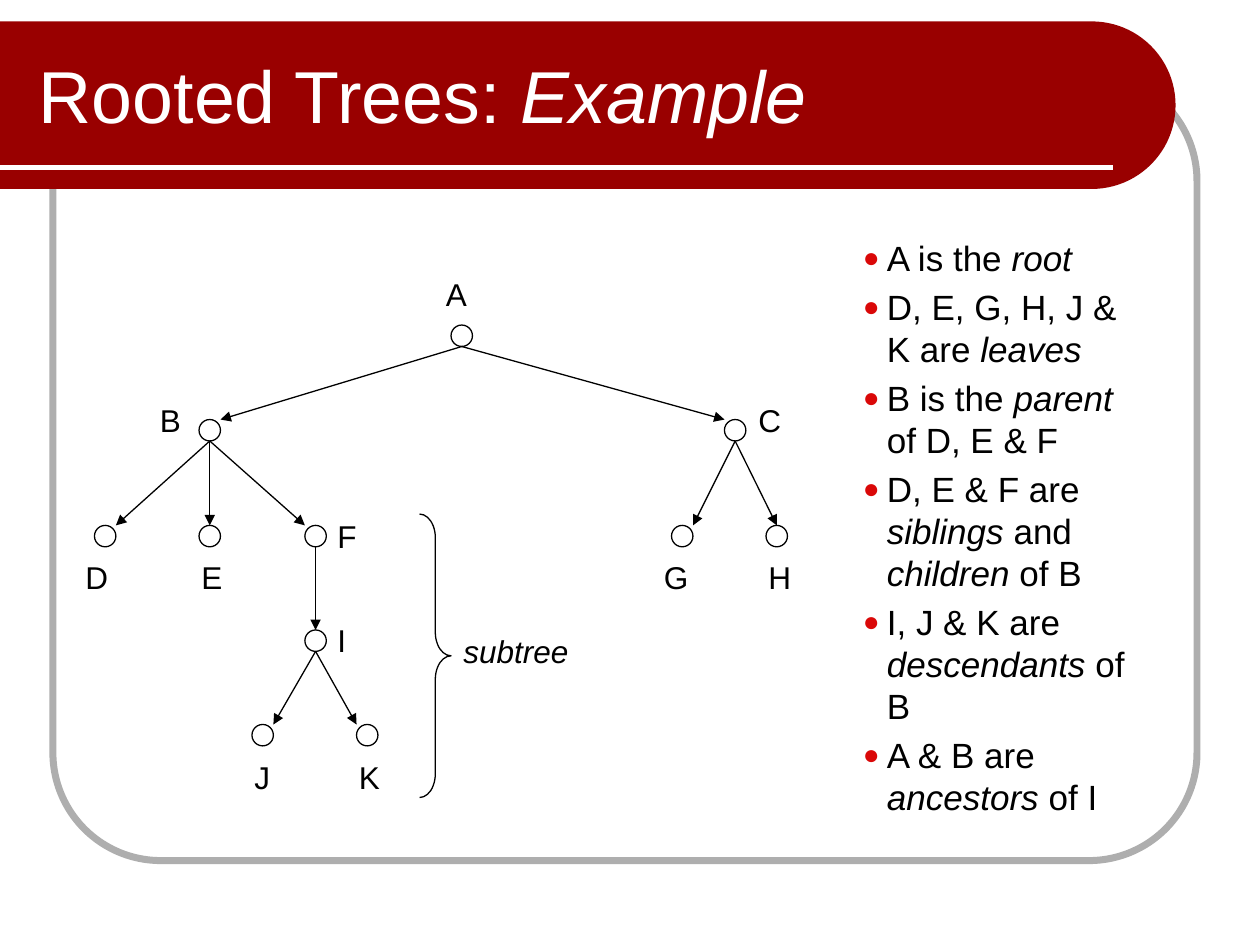
from dataclasses import dataclass
from typing import NamedTuple

from lxml.etree import SubElement
from pptx import Presentation
from pptx.dml.color import RGBColor
from pptx.enum.shapes import MSO_CONNECTOR, MSO_SHAPE
from pptx.enum.text import MSO_ANCHOR
from pptx.oxml.ns import qn
from pptx.util import Inches, Pt


@dataclass(frozen=True)
class Theme:
    font: str = "Arial"
    red: str = "990000"
    bullet: str = "DA0808"
    gray: str = "AEAEAE"
    white: str = "FFFFFF"
    black: str = "000000"
    title: float = 42
    body: float = 20
    label: float = 18
    thin: float = 0.75


class Run(NamedTuple):
    text: str
    italic: bool = False


class Node(NamedTuple):
    x: float
    y: float
    label_x: float
    label_y: float
    label_w: float


class Edge(NamedTuple):
    parent: str
    child: str
    centred: bool = False


T = Theme()
NODE = 0.17

NODES = {
    "A": Node(3.58, 2.58, 3.44, 2.08, 0.44),
    "B": Node(1.58, 3.33, 1.17, 3.08, 0.42),
    "C": Node(5.75, 3.33, 5.92, 3.08, 0.42),
    "D": Node(0.75, 4.17, 0.58, 4.33, 0.44),
    "E": Node(1.58, 4.17, 1.5, 4.33, 0.4),
    "F": Node(2.42, 4.17, 2.58, 4, 0.39),
    "G": Node(5.33, 4.17, 5.17, 4.33, 0.44),
    "H": Node(6.08, 4.17, 6, 4.33, 0.44),
    "I": Node(2.42, 5, 2.58, 4.83, 0.31),
    "J": Node(2, 5.75, 1.92, 5.92, 0.33),
    "K": Node(2.83, 5.75, 2.75, 5.92, 0.44),
}

EDGES = [
    Edge("A", "B"), Edge("A", "C"),
    Edge("B", "D"), Edge("B", "E", True), Edge("B", "F"),
    Edge("C", "G"), Edge("C", "H", True),
    Edge("F", "I", True), Edge("I", "J"), Edge("I", "K"),
]

FACTS = [
    [Run("A is the "), Run("root", True)],
    [Run("D, E, G, H, J & K are "), Run("leaves", True)],
    [Run("B is the "), Run("parent", True), Run(" of D, E & F")],
    [Run("D, E & F are "), Run("siblings", True), Run(" and "),
     Run("children", True), Run(" of B")],
    [Run("I, J & K are "), Run("descendants", True), Run(" of B")],
    [Run("A & B are "), Run("ancestors", True), Run(" of I")],
]

prs = Presentation()
prs.slide_width, prs.slide_height = Inches(10), Inches(7.5)
s = prs.slides.add_slide(prs.slide_layouts[6])


def rgb(color: str) -> RGBColor:
    return RGBColor.from_string(color)


def style(sp, fill: str = "", line: str = "", width: float = T.thin) -> None:
    sp.shadow.inherit = False
    if fill:
        sp.fill.solid()
        sp.fill.fore_color.rgb = rgb(fill)
    else:
        sp.fill.background()
    if line:
        sp.line.color.rgb = rgb(line)
        sp.line.width = Pt(width)
    else:
        sp.line.fill.background()


def add_shape(kind, x: float, y: float, w: float, h: float, **look):
    sp = s.shapes.add_shape(kind, Inches(x), Inches(y), Inches(w), Inches(h))
    style(sp, **look)
    return sp


def add_line(x1: float, y1: float, x2: float, y2: float, color: str,
             width: float = T.thin, arrow: bool = False) -> None:
    c = s.shapes.add_connector(MSO_CONNECTOR.STRAIGHT, Inches(x1), Inches(y1),
                               Inches(x2), Inches(y2))
    c.line.color.rgb = rgb(color)
    c.line.width = Pt(width)
    if arrow:
        SubElement(c.line._get_or_add_ln(), qn("a:tailEnd"), type="triangle")
    SubElement(c._element.spPr, qn("a:effectLst"))


def add_text(x: float, y: float, w: float, h: float, paragraphs: list[list[Run]],
             size: float, color: str = T.black, wrap: bool = False,
             anchor=MSO_ANCHOR.MIDDLE):
    tf = s.shapes.add_textbox(Inches(x), Inches(y), Inches(w), Inches(h)).text_frame
    tf.word_wrap = wrap
    tf.vertical_anchor = anchor
    for i, runs in enumerate(paragraphs):
        p = tf.add_paragraph() if i else tf.paragraphs[0]
        for run in runs:
            r = p.add_run()
            r.text = run.text
            r.font.name, r.font.size = T.font, Pt(size)
            r.font.italic = run.italic
            r.font.color.rgb = rgb(color)
    return tf


def add_bullet(p) -> None:
    pPr = p._p.get_or_add_pPr()
    pPr.set("marL", str(Inches(0.19)))
    pPr.set("indent", str(-Inches(0.19)))
    SubElement(SubElement(pPr, qn("a:buClr")), qn("a:srgbClr"), val=T.bullet)
    SubElement(pPr, qn("a:buSzPct"), val="80000")
    SubElement(pPr, qn("a:buFont"), typeface=T.font)
    SubElement(pPr, qn("a:buChar"), char="●")


# Frame and title band
frame = add_shape(MSO_SHAPE.ROUNDED_RECTANGLE, 0.42, 0.58, 9.08, 6.25,
                  line=T.gray, width=4)
frame.adjustments[0] = 0.137
band = add_shape(MSO_SHAPE.ROUND_2_SAME_RECTANGLE, 4, -3.83, 1.33, 9.33, fill=T.red)
band.rotation = 90
band.left, band.top = Inches(4), Inches(-3.83)
band.adjustments[0] = 0.5
add_line(0, 1.33, 8.83, 1.33, T.white, 3)
add_text(0.21, 0.25, 7.79, 1, [[Run("Rooted Trees: "), Run("Example", True)]],
         T.title, T.white, wrap=True)

# Tree nodes and labels
for name, n in NODES.items():
    add_shape(MSO_SHAPE.FLOWCHART_CONNECTOR, n.x, n.y, NODE, NODE,
              fill=T.white, line=T.black)
    add_text(n.label_x, n.label_y, n.label_w, 0.5, [[Run(name)]], T.label)

# Arrows run from below the parent to the near top corner of the child
for e in EDGES:
    a, b = NODES[e.parent], NODES[e.child]
    reach = NODE / 2 if e.centred else NODE if b.x < a.x else 0
    add_line(a.x + NODE / 2, a.y + NODE, b.x + reach, b.y, T.black, arrow=True)

# Facts about the tree
facts = add_text(6.75, 1.83, 2.42, 4.5, FACTS, T.body, wrap=True,
                 anchor=MSO_ANCHOR.TOP)
for p in facts.paragraphs:
    p.space_before = Pt(4)
    p.line_spacing = Pt(24)
    add_bullet(p)

# Subtree brace
brace = add_shape(MSO_SHAPE.RIGHT_BRACE, 3.33, 4.08, 0.25, 2.25, line=T.black)
brace.adjustments[0] = 0.75
add_text(3.58, 4.92, 1.18, 0.5, [[Run("subtree", True)]], T.label)

prs.save("out.pptx")
